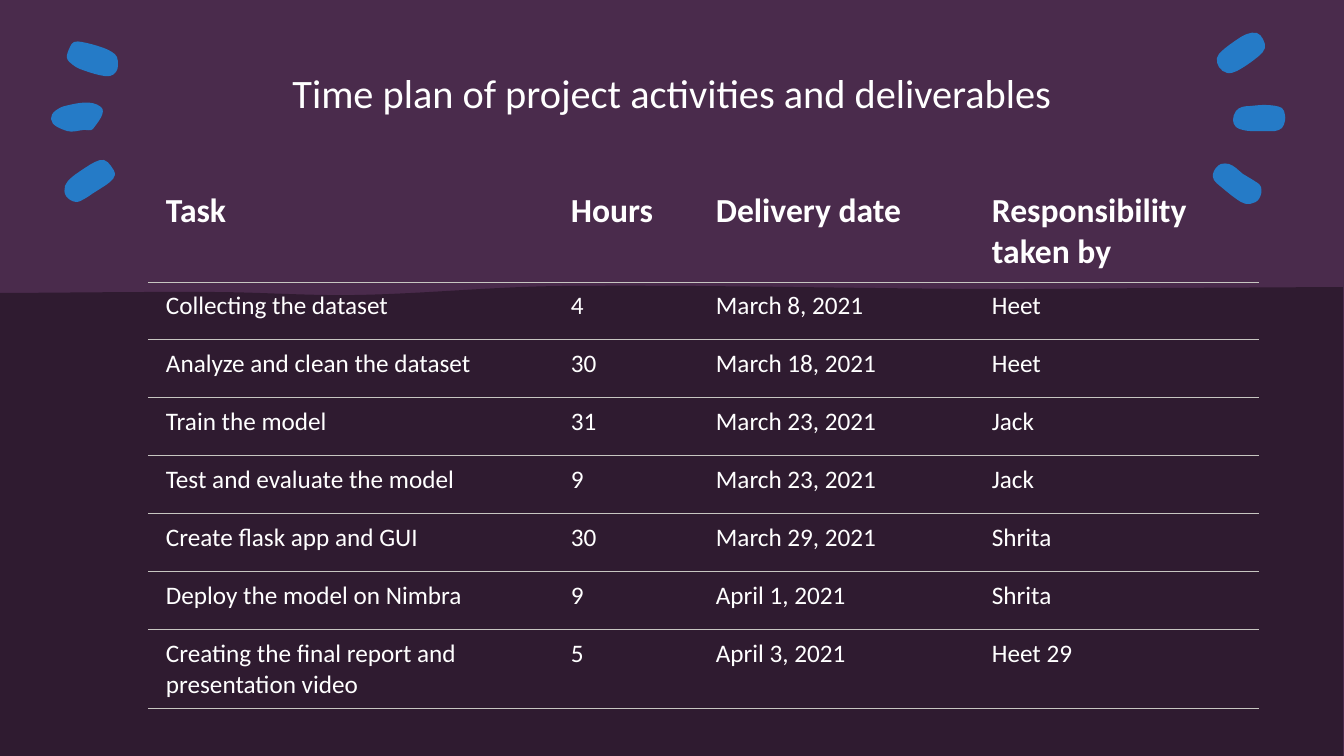
import math
import pptx
import pptx.util
import pptx.dml.color
import pptx.enum.shapes
import pptx.enum.text
import pptx.oxml
import pptx.oxml.ns

COLORS = {"panel": "4A2B4C", "ground": "2F1B30", "dash": "257BC7",
          "text": "FFFFFF", "rule": "C7C6C1"}
FONT = "Calibri"
NO_STYLE_NO_GRID = "{2D5ABB26-0587-4C30-8999-92F81FD0307C}"
PX = 914400 / 100.8
WIDTH, HEIGHT = 1344, 756

TITLE = "Time plan of project activities and deliverables"
TITLE_BOX = (185, 68, 974, 76)

ROWS = [
    ("Task", "Hours", "Delivery date", "Responsibility taken by"),
    ("Collecting the dataset", "4", "March 8, 2021", "Heet"),
    ("Analyze and clean the dataset", "30", "March 18, 2021", "Heet"),
    ("Train the model", "31", "March 23, 2021", "Jack"),
    ("Test and evaluate the model", "9", "March 23, 2021", "Jack"),
    ("Create flask app and GUI", "30", "March 29, 2021", "Shrita"),
    ("Deploy the model on Nimbra", "9", "April 1, 2021", "Shrita"),
    ("Creating the final report and presentation video", "5", "April 3, 2021", "Heet 29"),
]
TABLE_LEFT, TABLE_TOP = 148, 182
COL_WIDTHS = [405, 145, 276, 285]
ROW_HEIGHTS = [100] + [58] * 6 + [77]
INSETS = {"margin_left": 18, "margin_top": 9, "margin_right": 13, "margin_bottom": 9}

WAVE = [(0, 293), (215, 292), (356, 295), (561, 286), (995, 289), (1162, 288), (1343, 287)]
LEFT_DASHES = [
    [(110, 182), (103, 187), (92, 194), (86, 198), (76, 202), (66, 196), (65, 186),
     (71, 178), (79, 172), (85, 168), (95, 162), (104, 160), (111, 166), (115, 175)],
    [(93, 129), (84, 130), (67, 131), (51, 119), (65, 106), (101, 107)],
    [(82, 42), (74, 42), (70, 47), (67, 58), (73, 65), (80, 69),
     (99, 75), (110, 76), (116, 72), (118, 66), (117, 57), (112, 52), (101, 47)],
]
RIGHT_DASHES = [
    [(1275, 131), (1264, 131), (1250, 131), (1243, 130), (1236, 127), (1233, 120),
     (1236, 111), (1242, 107), (1250, 106), (1267, 105), (1282, 108), (1285, 115),
     (1285, 121), (1282, 128)],
    [(1222, 51), (1235, 41), (1247, 34), (1257, 33), (1263, 39), (1265, 48),
     (1259, 56), (1237, 71), (1227, 73), (1219, 67), (1217, 58)],
    [(1214, 180), (1213, 174), (1216, 168), (1221, 164), (1229, 164), (1236, 168),
     (1243, 174), (1253, 180), (1261, 187), (1259, 199), (1250, 204), (1241, 202),
     (1220, 186)],
]


def emu(px):
    return pptx.util.Emu(round(px * PX))


def rgb(name):
    return pptx.dml.color.RGBColor.from_string(COLORS[name])


def paint(sp, color):
    sp.shadow.inherit = False
    sp.fill.solid()
    sp.fill.fore_color.rgb = rgb(color)
    sp.line.fill.background()


def add_run(p, text, size, bold=False):
    r = p.add_run()
    r.text = text
    r.font.size = pptx.util.Pt(size)
    r.font.name = FONT
    r.font.bold = bold
    r.font.color.rgb = rgb("text")


def handle(anchor, before, after, reach):
    ratio = reach / 3 / math.dist(before, after)
    return tuple(q + (b - a) * ratio for q, a, b in zip(anchor, before, after))


def add_outline(shapes, points, color, corners=()):
    if corners:
        curve, before, after = points, points[0], points[-1]
    else:
        curve, before, after = points + points[:1], points[-1], points[1]
    start, *rest = [(emu(x), emu(y)) for x, y in [*curve, *corners]]
    fb = shapes.build_freeform(*start)
    fb.add_line_segments(rest, close=True)
    sp = fb.convert_to_shape()
    paint(sp, color)

    around = [before, *curve, after]
    left, top = (min(axis) for axis in zip(start, *rest))
    segments = sp._element.findall(".//" + pptx.oxml.ns.qn("a:lnTo"))
    for segment, a, b, c, d in zip(segments, around, around[1:], around[2:], around[3:]):
        reach = math.dist(b, c)
        bend = pptx.oxml.parse_xml(f'<a:cubicBezTo {pptx.oxml.ns.nsdecls("a")}/>')
        for x, y in (handle(b, a, c, reach), handle(c, d, b, reach), c):
            pt = pptx.oxml.parse_xml(
                f'<a:pt {pptx.oxml.ns.nsdecls("a")} x="{emu(x) - left}" y="{emu(y) - top}"/>')
            bend.append(pt)
        segment.getparent().replace(segment, bend)


def rule_below(cell):
    ln = pptx.oxml.parse_xml(
        f'<a:lnB {pptx.oxml.ns.nsdecls("a")} w="9525"><a:solidFill>'
        f'<a:srgbClr val="{COLORS["rule"]}"/></a:solidFill></a:lnB>')
    cell._tc.get_or_add_tcPr().insert(0, ln)


def add_plan(shapes):
    frame = shapes.add_table(len(ROWS), len(COL_WIDTHS), emu(TABLE_LEFT), emu(TABLE_TOP),
                             emu(sum(COL_WIDTHS)), emu(sum(ROW_HEIGHTS)))
    table = frame.table
    table.horz_banding = False
    table._tbl.tblPr.find(pptx.oxml.ns.qn("a:tableStyleId")).text = NO_STYLE_NO_GRID
    for col, width in zip(table.columns, COL_WIDTHS):
        col.width = emu(width)
    for i, (row, height) in enumerate(zip(table.rows, ROW_HEIGHTS)):
        row.height = emu(height)
        for cell, text in zip(row.cells, ROWS[i]):
            for side, inset in INSETS.items():
                setattr(cell, side, emu(inset))
            cell.fill.background()
            rule_below(cell)
            add_run(cell.text_frame.paragraphs[0], text, 18 if i else 24, bold=i == 0)


def main():
    prs = pptx.Presentation()
    prs.slide_width, prs.slide_height = emu(WIDTH), emu(HEIGHT)
    slide = prs.slides.add_slide(prs.slide_layouts[6])
    slide.background.fill.solid()
    slide.background.fill.fore_color.rgb = rgb("ground")
    shapes = slide.shapes

    panel = shapes.add_shape(pptx.enum.shapes.MSO_SHAPE.RECTANGLE, 0, 0, emu(WIDTH), emu(HEIGHT))
    paint(panel, "panel")

    title = shapes.add_textbox(*map(emu, TITLE_BOX))
    tf = title.text_frame
    tf.word_wrap = True
    tf.margin_left = tf.margin_top = tf.margin_right = tf.margin_bottom = 0
    tf.paragraphs[0].alignment = pptx.enum.text.PP_ALIGN.CENTER
    add_run(tf.paragraphs[0], TITLE, 28.8)

    for dashes in (LEFT_DASHES, RIGHT_DASHES):
        group = shapes.add_group_shape()
        for dash in dashes:
            add_outline(group.shapes, dash, "dash")

    add_outline(shapes, WAVE, "ground", corners=[(WAVE[-1][0], HEIGHT), (0, HEIGHT)])

    add_plan(shapes)
    prs.save("out.pptx")


if __name__ == "__main__":
    main()
